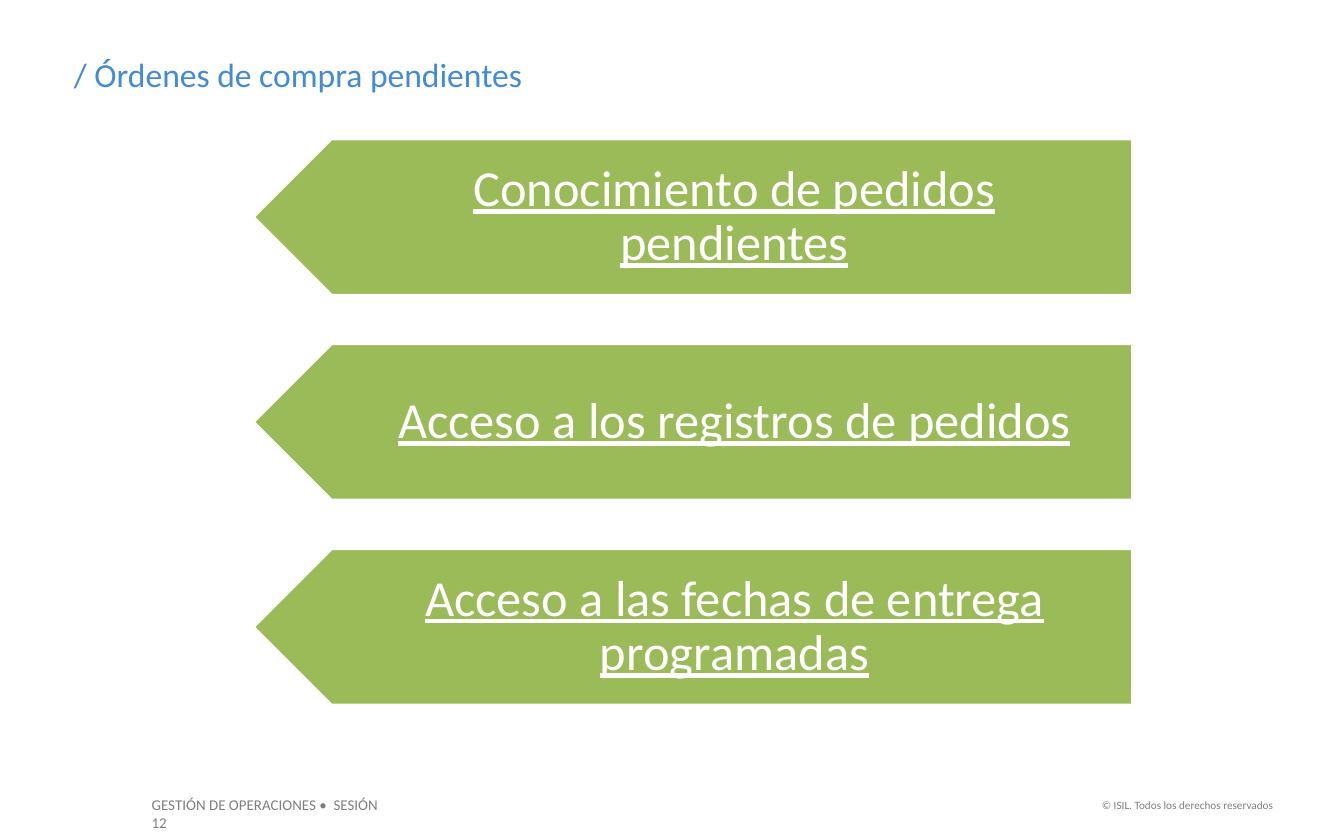
from pptx import Presentation
from pptx.dml.color import RGBColor
from pptx.enum.shapes import MSO_SHAPE
from pptx.enum.text import MSO_ANCHOR, PP_ALIGN
from pptx.util import Inches, Pt

PLATE = MSO_SHAPE.PENTAGON
LEFT, RIGHT, CENTER = PP_ALIGN.LEFT, PP_ALIGN.RIGHT, PP_ALIGN.CENTER
TOP, MIDDLE = MSO_ANCHOR.TOP, MSO_ANCHOR.MIDDLE

FIRST, PITCH, HIGH = 1.03, 1.525, 1.17
STEPS = [
    "Conocimiento de pedidos pendientes",
    "Acceso a los registros de pedidos",
    "Acceso a las fechas de entrega programadas",
]


def color(code):
    """Turn a hex string into a colour."""
    return RGBColor.from_string(code)


def place(shape, box):
    """Move and size a shape in inches."""
    shape.left, shape.top, shape.width, shape.height = map(Inches, box)


def write(shape, text, size, code, align=LEFT, anchor=TOP):
    """Set the words of a shape and their look."""
    frame = shape.text_frame
    frame.word_wrap = True
    frame.vertical_anchor = anchor
    frame.text = text
    para = frame.paragraphs[0]
    para.alignment = align
    font = para.runs[0].font
    font.name = "Calibri"
    font.size = Pt(size)
    font.color.rgb = color(code)
    return para


def add_label(slide, box, *style):
    """Add a text box and return its paragraph and frame."""
    label = slide.shapes.add_textbox(*map(Inches, box))
    return write(label, *style), label.text_frame


def add_step(slide, row, text):
    """Add one left-pointing plate with its label."""
    top = FIRST + row * PITCH
    plate = slide.shapes.add_shape(PLATE, *map(Inches, (1.88, top, 6.55, HIGH)))
    plate.rotation = 180
    plate.shadow.inherit = False
    plate.fill.solid()
    plate.fill.fore_color.rgb = color("9BBB59")
    plate.line.color.rgb = color("FFFFFF")
    plate.line.width = Pt(2)
    para, frame = add_label(
        slide, (2.18, top, 6.26, HIGH), text, 27, "FFFFFF", CENTER, MIDDLE)
    para.line_spacing = 0.9
    para.runs[0].font.underline = True
    frame.margin_left, frame.margin_right = Inches(0.52), Inches(0.21)
    frame.margin_top = frame.margin_bottom = Inches(0.11)


def main():
    """Build the slide and save it."""
    deck = Presentation()
    deck.slide_width, deck.slide_height = Inches(10), Inches(6.25)
    slide = deck.slides.add_slide(deck.slide_layouts[5])
    title = slide.shapes.title
    place(title, (0.45, 0.35, 7.88, 0.4))
    write(title, "/ Órdenes de compra pendientes", 18, "438AD7")
    add_label(slide, (1.03, 5.87, 2.02, 0.24),
              "GESTIÓN DE OPERACIONES •  SESIÓN 12", 8, "7F7F7F")
    add_label(slide, (8.03, 5.89, 1.54, 0.2),
              "© ISIL. Todos los derechos reservados", 6, "7F7F7F", RIGHT)
    for row, text in enumerate(STEPS):
        add_step(slide, row, text)
    deck.save("out.pptx")


if __name__ == "__main__":
    main()
